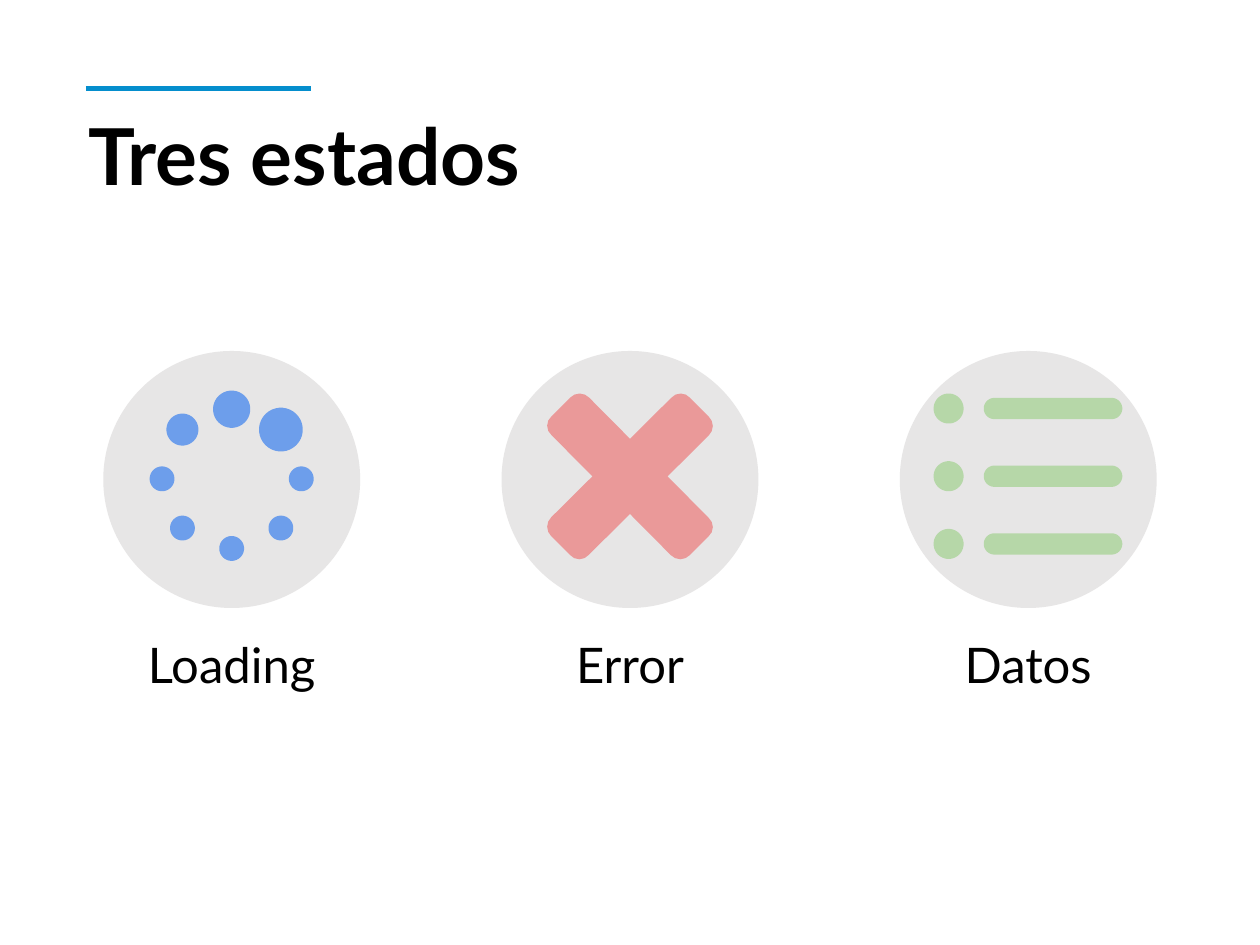
import math

import pptx
import pptx.dml.color
import pptx.enum.shapes
import pptx.enum.text
import pptx.util
from lxml import etree
from pptx.oxml.ns import qn

Pt = pptx.util.Pt
RGB = pptx.dml.color.RGBColor.from_string
ALIGN = pptx.enum.text.PP_ALIGN

COLORS = {
    "accent": "058ECD",
    "circle": "E7E6E6",
    "text": "000000",
    "loading": "6D9EEB",
    "error": "EA9999",
    "data": "B6D7A8",
}

presentation = pptx.Presentation()
presentation.slide_width = Pt(771)
presentation.slide_height = Pt(578)
slide = presentation.slides.add_slide(presentation.slide_layouts.get_by_name("Comparison"))


def set_text(placeholder, text, box, size, bold, alignment):
    placeholder.left, placeholder.top, placeholder.width, placeholder.height = map(Pt, box)
    frame = placeholder.text_frame
    frame.margin_left = frame.margin_top = frame.margin_right = frame.margin_bottom = 0
    frame.word_wrap = True
    frame.auto_size = pptx.enum.text.MSO_AUTO_SIZE.NONE
    frame.vertical_anchor = pptx.enum.text.MSO_ANCHOR.TOP
    paragraph = frame.paragraphs[0]
    properties = paragraph._p.get_or_add_pPr()
    properties.set("marL", "0")
    properties.set("indent", "0")
    etree.SubElement(properties, qn("a:buNone"))
    paragraph.alignment = alignment
    paragraph.line_spacing = 0.9
    paragraph.space_before = Pt(0)
    run = paragraph.add_run()
    run.text = text
    run.font.name = "Lato"
    run.font.size = Pt(size)
    run.font.bold = bold
    run.font.color.rgb = RGB(COLORS["text"])


def capsule(center_x, center_y, radius, half_length=0, sides=36):
    """Outline of a dot, or of a bar with round ends when half_length is set."""
    angles = [2 * math.pi * (side + 0.5) / sides for side in range(sides)]
    return [(center_x + math.copysign(half_length, math.cos(angle)) + radius * math.cos(angle),
             center_y + radius * math.sin(angle)) for angle in angles]


# Title and the line above it
set_text(slide.shapes.title, "Tres estados", (54, 72, 663, 58), 48, True, ALIGN.LEFT)
rule = slide.shapes.add_connector(
    pptx.enum.shapes.MSO_CONNECTOR.STRAIGHT, Pt(52.5), Pt(54), Pt(190.3), Pt(54))
rule.line.color.rgb = RGB(COLORS["accent"])
rule.line.width = Pt(3)
etree.SubElement(rule._element.spPr, qn("a:effectLst"))

# Three states: circle and label
filled = []
centers = [141.8 + 243.7 * column for column in range(3)]
labels = [("Loading", 193), ("Error", 220), ("Datos", 193)]
bodies = [item for item in slide.placeholders if item.placeholder_format.idx in (1, 2, 3, 4)]
for center_x, (label, width), body in zip(centers, labels, bodies):
    circle = slide.shapes.add_shape(pptx.enum.shapes.MSO_SHAPE.OVAL, Pt(center_x - 78.6),
                                    Pt(214.7), Pt(157.2), Pt(157.2))
    filled.append((circle, "circle"))
    set_text(body, label, (center_x - width / 2, 392, width, 79), 30, False, ALIGN.CENTER)

# Remove the placeholders left over from the layout
for placeholder in list(slide.placeholders):
    if not placeholder.text_frame.text:
        placeholder._element.getparent().remove(placeholder._element)

# Error: one arm of the cross turned four times
arm = [(0, -23), (-25, -48.2), (-27.6, -50), (-30.8, -50.7), (-34, -50), (-36.6, -48.2),
       (-48, -36.8), (-50, -34.2), (-50.7, -31), (-50, -27.8), (-48, -25.2)]
cross = []
for turn in range(4):
    cross += [(centers[1] + x, 291.4 + y) for x, y in arm]
    arm = [(y, -x) for x, y in arm]

# Loading: ring of dots, clockwise from the top
dots = []
for step, radius in enumerate([11.4, 13.4, 7.6, 7.6, 7.6, 7.6, 7.6, 9.8]):
    angle = math.radians(45 * step)
    dots.append(capsule(centers[0] + 42.6 * math.sin(angle),
                        292.9 - 42.6 * math.cos(angle), radius))

# Data: three rows of bullet and bar
rows = []
for row in range(3):
    center_y = 249.9 + 41.4 * row
    rows += [capsule(580.5, center_y, 9.2), capsule(644.4, center_y, 6.5, 35.9)]

# One icon per state, each a single shape
for color, outlines in [("error", [cross]), ("loading", dots), ("data", rows)]:
    contours = [[(Pt(x), Pt(y)) for x, y in outline] for outline in outlines]
    builder = slide.shapes.build_freeform(*contours[0][0])
    for index, contour in enumerate(contours):
        if index:
            builder.move_to(*contour[0])
        builder.add_line_segments(contour[1:], close=True)
    filled.append((builder.convert_to_shape(), color))

# Flat fills without outline or shadow
for shape, color in filled:
    shape.shadow.inherit = False
    shape.fill.solid()
    shape.fill.fore_color.rgb = RGB(COLORS[color])
    shape.line.fill.background()

presentation.save("out.pptx")
